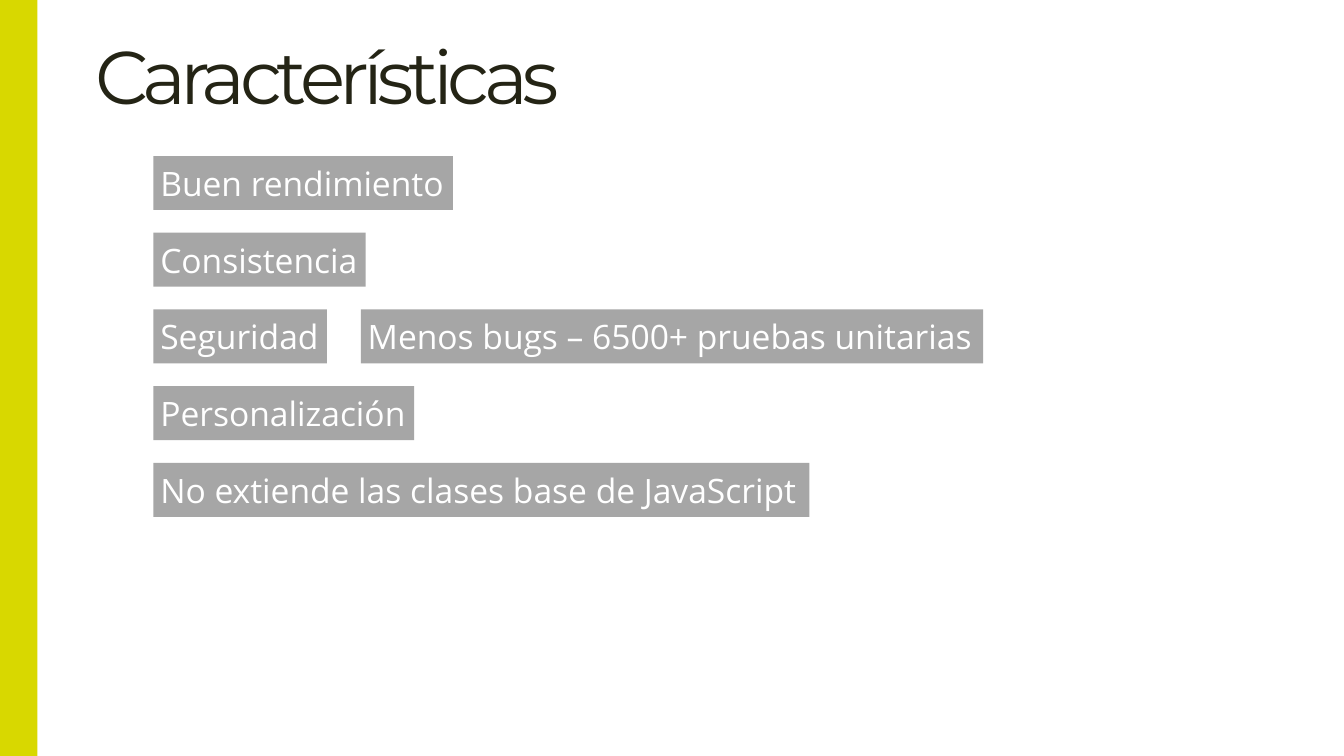
import pptx
import pptx.dml.color
import pptx.enum.shapes
import pptx.enum.text
import pptx.util
from pptx.util import Cm

SLIDE_WIDTH, SLIDE_HEIGHT = 25.4, 14.29
ROW_PITCH, TAG_HEIGHT, TAG_GAP = 1.45, 1.02, 0.64

# Each row holds its tags from left to right: (text, width in cm)
FEATURE_ROWS = [
    [("Buen rendimiento", 5.66)],
    [("Consistencia", 4.01)],
    [("Seguridad", 3.28), ("Menos bugs – 6500+ pruebas unitarias", 11.76)],
    [("Personalización", 4.93)],
    [("No extiende las clases base de JavaScript", 12.4)],
]


def color(hex_string):
    return pptx.dml.color.RGBColor.from_string(hex_string)


def add_rectangle(slide, left, top, width, height, fill):
    shape = slide.shapes.add_shape(
        pptx.enum.shapes.MSO_SHAPE.RECTANGLE,
        Cm(left), Cm(top), Cm(width), Cm(height))
    shape.shadow.inherit = False
    shape.fill.solid()
    shape.fill.fore_color.rgb = color(fill)
    shape.line.fill.background()
    return shape


def write_text(shape, text, font_name, size, text_color, anchor, left_inset=0):
    frame = shape.text_frame
    frame.word_wrap = True
    frame.vertical_anchor = anchor
    frame.margin_left = Cm(left_inset)
    frame.margin_top = frame.margin_right = frame.margin_bottom = 0
    frame.text = text
    paragraph = frame.paragraphs[0]
    paragraph.alignment = pptx.enum.text.PP_ALIGN.LEFT
    run = paragraph.runs[0]
    run.font.name = font_name
    run.font.size = pptx.util.Pt(size)
    run.font.color.rgb = color(text_color)
    return run


def add_title(slide, left, top, width, height):
    box = slide.shapes.add_textbox(Cm(left), Cm(top), Cm(width), Cm(height))
    run = write_text(box, "Características", "Montserrat", 40, "242415",
                     pptx.enum.text.MSO_ANCHOR.BOTTOM)
    # Tight letter spacing, in hundredths of a point
    run.font._element.set("spc", "-300")


def add_features(slide, left, top):
    for row_index, row in enumerate(FEATURE_ROWS):
        tag_left = left
        for text, width in row:
            tag = add_rectangle(slide, tag_left, top + row_index * ROW_PITCH,
                                width, TAG_HEIGHT, "A6A6A6")
            write_text(tag, text, "Open Sans", 18, "FFFFFF",
                       pptx.enum.text.MSO_ANCHOR.MIDDLE, left_inset=0.13)
            tag_left += width + TAG_GAP


def main():
    presentation = pptx.Presentation()
    presentation.slide_width = Cm(SLIDE_WIDTH)
    presentation.slide_height = Cm(SLIDE_HEIGHT)
    slide = presentation.slides.add_slide(presentation.slide_layouts[6])

    # Title
    add_title(slide, 1.8, 0, 22.91, 2.26)
    # Accent bar on the left edge
    add_rectangle(slide, 0, 0, 0.71, SLIDE_HEIGHT, "D8D800")
    # Feature tags
    add_features(slide, 2.9, 2.95)

    presentation.save("out.pptx")


if __name__ == "__main__":
    main()
